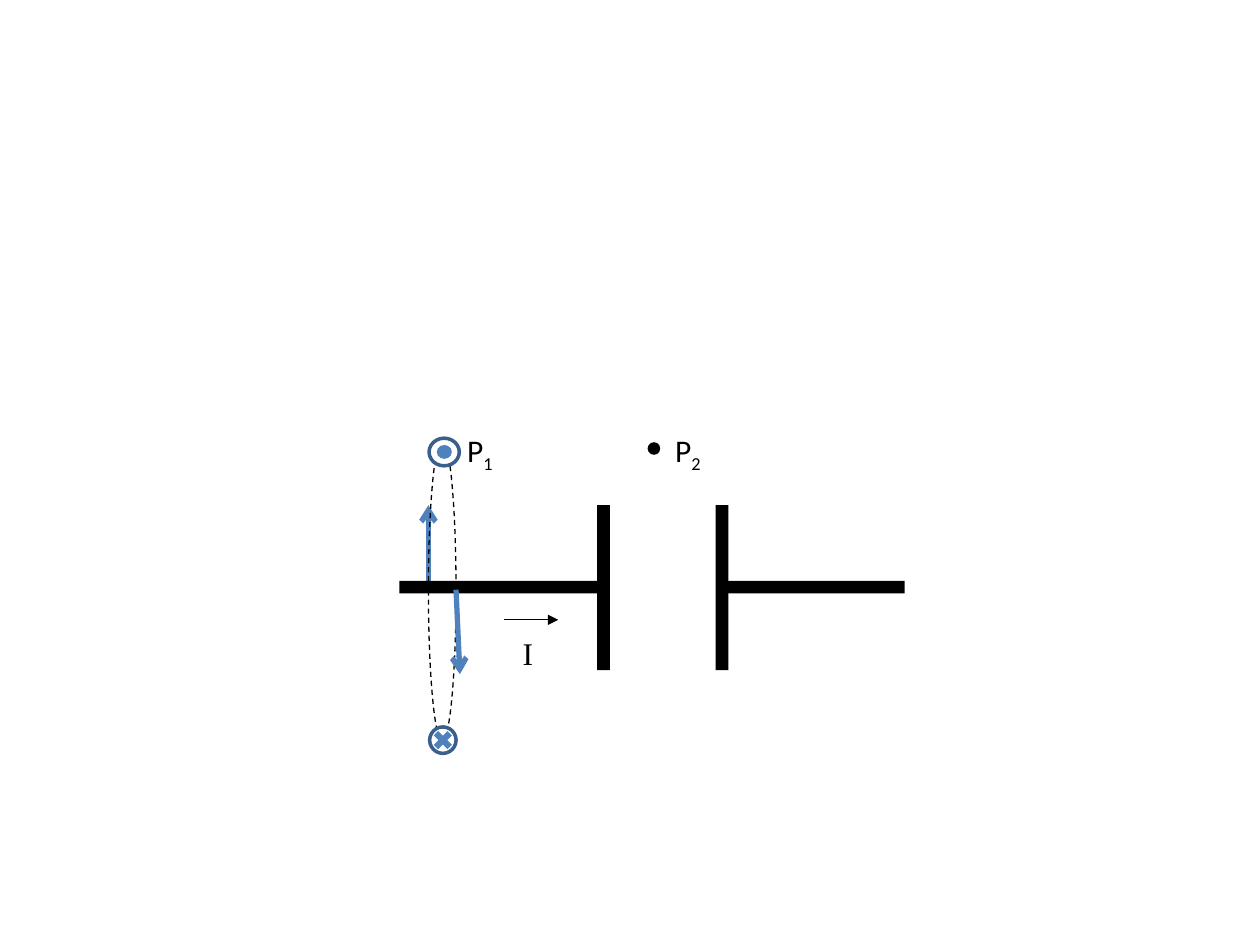
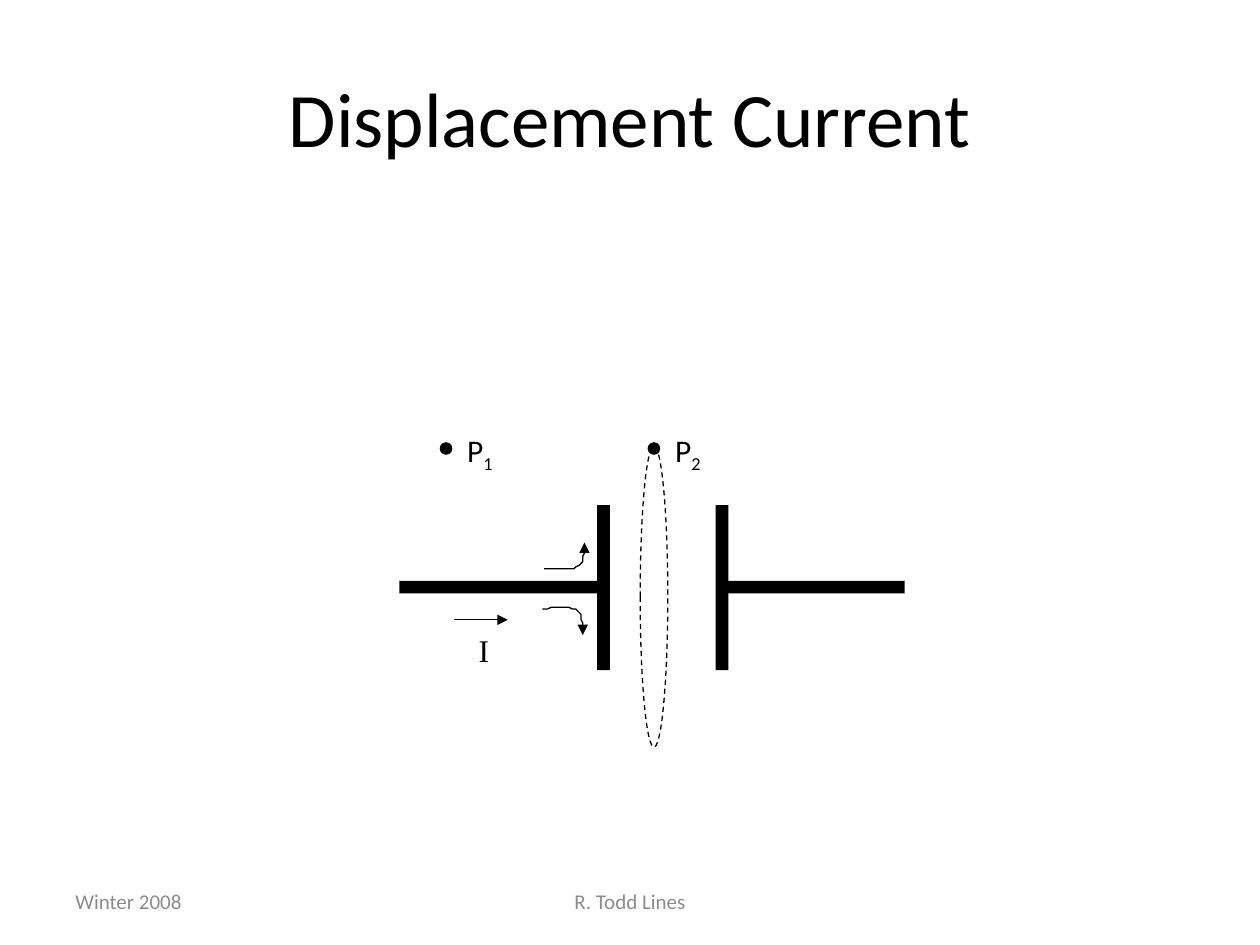
from lxml import etree
from pptx import Presentation
from pptx.dml.color import RGBColor
from pptx.enum.dml import MSO_LINE
from pptx.enum.shapes import MSO_CONNECTOR, MSO_SHAPE
from pptx.enum.text import MSO_ANCHOR, MSO_AUTO_SIZE, PP_ALIGN
from pptx.oxml.ns import qn
from pptx.util import Pt

# Shared look, all lengths in points
BLACK, WHITE, GREY = "000000", "FFFFFF", "8C8C8C"
BLUE, DARK_BLUE = "4F81BD", "3A5F8C"
SANS, SERIF = "Calibri", "Times New Roman"
OVAL, BAR, CROSS = MSO_SHAPE.OVAL, MSO_SHAPE.RECTANGLE, MSO_SHAPE.MATH_MULTIPLY
STRAIGHT, DASH = MSO_CONNECTOR.STRAIGHT, MSO_LINE.DASH
LEFT, CENTER, MIDDLE = PP_ALIGN.LEFT, PP_ALIGN.CENTER, MSO_ANCHOR.MIDDLE
GROW = MSO_AUTO_SIZE.SHAPE_TO_FIT_TEXT
TITLE_ONLY, BLANK = 5, 6

# Circuit measures
THICKNESS = 7.2
PLATE_TOP, PLATE_HEIGHT = 288.7, 94.3
PLATE_LEFTS = (341.3, 409)
WIRE_TOP = 331.9
WIRES = ((228.2, 115.2), (414.7, 102.2))  # left, width
POINT_LEFTS = (251.3, 370.1)
POINT_TOP = 252.7
CURRENT_TOP = 354.2


def color(hex_string):
    return RGBColor.from_string(hex_string)


def set_line(shape, hex_string, width):
    shape.line.color.rgb = color(hex_string)
    shape.line.width = Pt(width)


def add_arrowhead(shape, kind):
    line = shape.element.spPr.find(qn("a:ln"))
    etree.SubElement(line, qn("a:tailEnd"), type=kind)


def add_figure(shapes, kind, left, top, width, height, fill=None, line=None, line_width=0.75):
    shape = shapes.add_shape(kind, Pt(left), Pt(top), Pt(width), Pt(height))
    shape.shadow.inherit = False
    if fill:
        shape.fill.solid()
        shape.fill.fore_color.rgb = color(fill)
    else:
        shape.fill.background()
    if line:
        set_line(shape, line, line_width)
    else:
        shape.line.fill.background()
    return shape


def add_arrow(slide, start, end, hex_string, width, head):
    points = [Pt(value) for value in start + end]
    connector = slide.shapes.add_connector(STRAIGHT, *points)
    set_line(connector, hex_string, width)
    add_arrowhead(connector, head)
    etree.SubElement(connector.element.spPr, qn("a:effectLst"))


def add_curved_arrow(slide, curves, steps=10):
    """Trace joined cubic curves, each given by four (x, y) points."""
    points = [curves[0][0]]
    for curve in curves:
        for step in range(1, steps + 1):
            t = step / steps
            weights = ((1 - t) ** 3, 3 * t * (1 - t) ** 2, 3 * t * t * (1 - t), t ** 3)
            points.append(tuple(sum(weight * point[axis] for weight, point in zip(weights, curve))
                                for axis in (0, 1)))
    builder = slide.shapes.build_freeform(*points[0], scale=Pt(1))
    builder.add_line_segments(points[1:], close=False)
    shape = builder.convert_to_shape()
    shape.shadow.inherit = False
    shape.fill.background()
    set_line(shape, BLACK, 0.75)
    add_arrowhead(shape, "triangle")


def format_text(text_frame, font_name, size, hex_string, align):
    for paragraph in text_frame.paragraphs:
        paragraph.alignment = align
        for run in paragraph.runs:
            run.font.name = font_name
            run.font.size = Pt(size)
            run.font.color.rgb = color(hex_string)


def add_text(slide, text, left, top, width, height, font_name=SANS, size=18,
             hex_string=BLACK, align=LEFT, subscript=None, wrap=True):
    box = slide.shapes.add_textbox(Pt(left), Pt(top), Pt(width), Pt(height))
    text_frame = box.text_frame
    text_frame.text = text
    text_frame.word_wrap = wrap
    if subscript:
        run = text_frame.paragraphs[0].add_run()
        run.text = subscript
        run.font._element.set("baseline", "-25000")
    format_text(text_frame, font_name, size, hex_string, align)
    return text_frame


def add_label(slide, text, left, top, width, **options):
    add_text(slide, text, left, top, width, 26.6, **options).auto_size = GROW


def add_footer(slide, text, left, width, align):
    text_frame = add_text(slide, text, left, 500.4, width, 28.8, size=12,
                          hex_string=GREY, align=align)
    text_frame.vertical_anchor = MIDDLE


def add_title(slide, text):
    title = slide.shapes.title
    title.left, title.top, title.width, title.height = Pt(36), Pt(21.6), Pt(648), Pt(90)
    title.text_frame.text = text
    title.text_frame.vertical_anchor = MIDDLE
    format_text(title.text_frame, SANS, 44, BLACK, CENTER)


def add_circuit(slide):
    """Capacitor plates, their wires and the two marked points."""
    for left in PLATE_LEFTS:
        add_figure(slide.shapes, BAR, left, PLATE_TOP, THICKNESS, PLATE_HEIGHT, BLACK)
    for left, width in WIRES:
        add_figure(slide.shapes, BAR, left, WIRE_TOP, width, THICKNESS, BLACK)
    for number, left in enumerate(POINT_LEFTS, 1):
        add_figure(slide.shapes, OVAL, left, POINT_TOP, THICKNESS, THICKNESS, BLACK)
        add_label(slide, "P", left + 8.6, 242.6, 31, subscript=str(number))


def add_current(slide, arrow_left, label_left, label_top):
    add_label(slide, "I", label_left, label_top, 20.2, font_name=SERIF, wrap=False)
    add_arrow(slide, (arrow_left, CURRENT_TOP), (arrow_left + 31, CURRENT_TOP),
              BLACK, 0.75, "triangle")


def add_loop(slide, left, top):
    loop = add_figure(slide.shapes, OVAL, left, top, 15.8, 172.1, line=BLACK)
    loop.line.dash_style = DASH


def add_field_symbol(slide, ring, kind, mark):
    """Ring with a dot (out of the page) or a cross (into it)."""
    group = slide.shapes.add_group_shape()
    add_figure(group.shapes, OVAL, *ring, WHITE, DARK_BLUE, 2)
    add_figure(group.shapes, kind, *mark, BLUE)


def build_field_slide(presentation):
    slide = presentation.slides.add_slide(presentation.slide_layouts[BLANK])
    # The upward field arrow lies behind the wire
    add_arrow(slide, (244.8, 337), (244.8, 288.7), BLUE, 3, "arrow")
    add_circuit(slide)
    add_current(slide, 288, 291.6, 358.6)
    add_loop(slide, 244.8, 251.3)
    add_arrow(slide, (260.6, 337), (262.8, 385.2), BLUE, 3, "arrow")
    add_field_symbol(slide, (245.2, 250.4, 17.3, 15.8), OVAL, (249.6, 254.3, 8.6, 7.9))
    cross_box = (245.5, 415.4, 15.1, 15.1)
    add_field_symbol(slide, cross_box, CROSS, cross_box)


def build_displacement_slide(presentation):
    slide = presentation.slides.add_slide(presentation.slide_layouts[TITLE_ONLY])
    add_footer(slide, "Winter 2008", 36, 168, LEFT)
    add_footer(slide, "R. Todd Lines", 246, 228, CENTER)
    add_title(slide, "Displacement Current")
    add_circuit(slide)
    add_current(slide, 259.2, 266.4, 357.1)
    add_loop(slide, 365.8, 254.9)
    # Charge spreads over the plate: the upper arrow mirrors the lower one
    lower = (((310.3, 347.8), (318.2, 347), (326.2, 346.3), (329.8, 349.2)),
             ((329.8, 349.2), (334.1, 351.4), (331.9, 360.7), (333.2, 362.9)))
    upper = [[(x + 0.9, 672.5 - y) for x, y in curve] for curve in lower]
    for curves in (lower, upper):
        add_curved_arrow(slide, curves)


def main():
    presentation = Presentation()
    presentation.slide_width, presentation.slide_height = Pt(720), Pt(540)
    build_field_slide(presentation)
    build_displacement_slide(presentation)
    presentation.save("out.pptx")


main()
